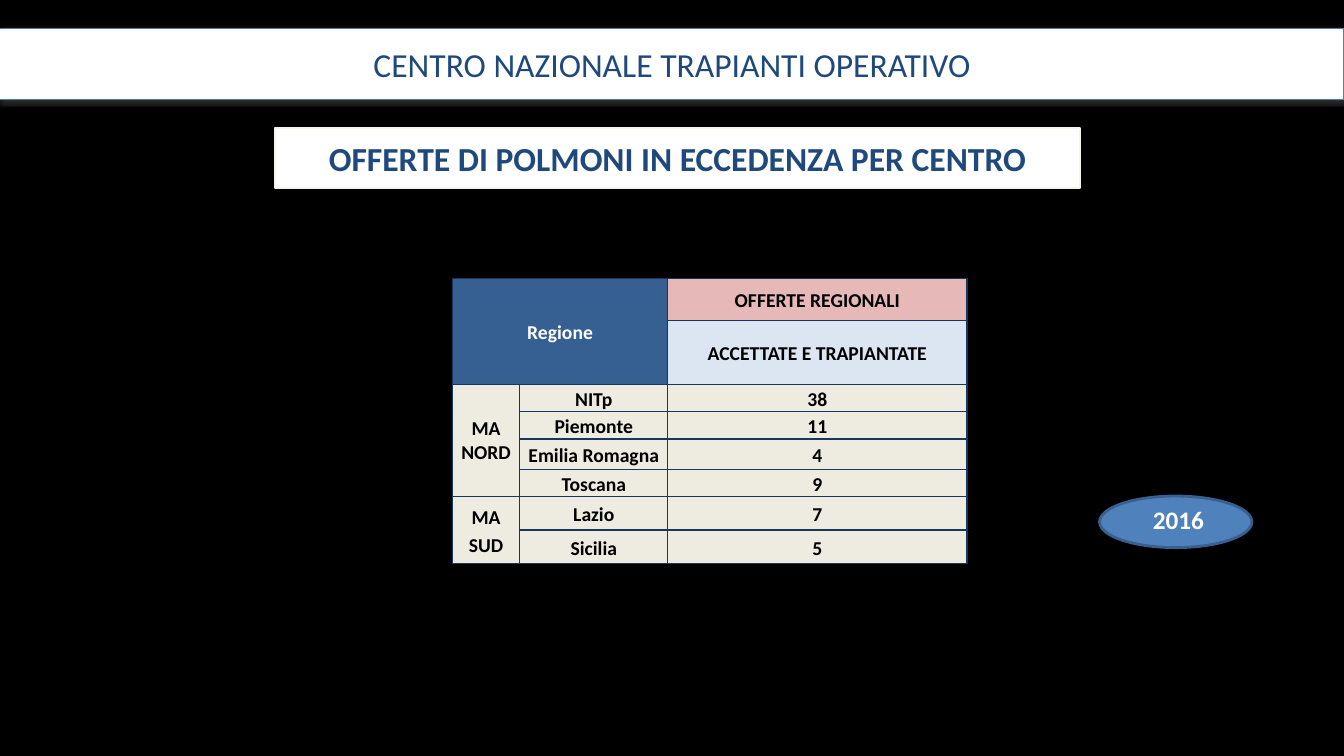
from lxml import etree
from pptx import Presentation
from pptx.dml.color import RGBColor
from pptx.enum.shapes import MSO_SHAPE
from pptx.enum.text import MSO_ANCHOR, MSO_AUTO_SIZE, PP_ALIGN
from pptx.oxml.ns import qn
from pptx.util import Cm, Pt

RECTANGLE, OVAL = MSO_SHAPE.RECTANGLE, MSO_SHAPE.OVAL
MIDDLE, CENTER = MSO_ANCHOR.MIDDLE, PP_ALIGN.CENTER
FIT_SHAPE = MSO_AUTO_SIZE.SHAPE_TO_FIT_TEXT

FONT = "Calibri"
WHITE, BLACK, NAVY, CREAM = "FFFFFF", "000000", "1F497D", "EEECE1"
BORDER = "17375E"

COLUMN_WIDTHS = [1.7, 3.73, 7.54]
ROW_HEIGHTS = [1.07, 1.6, 0.69, 0.69, 0.76, 0.69, 0.84, 0.84]
ROWS = [
    ["Regione", "", "OFFERTE REGIONALI"],
    ["", "", "ACCETTATE E TRAPIANTATE"],
    ["MA NORD", "NITp", "38"],
    ["", "Piemonte", "11"],
    ["", "Emilia Romagna", "4"],
    ["", "Toscana", "9"],
    ["MA SUD", "Lazio", "7"],
    ["", "Sicilia", "5"],
]
# First and last cell of each merged block
MERGES = [((0, 0), (1, 1)), ((2, 0), (5, 0)), ((6, 0), (7, 0))]
HEADER_FILLS = {(0, 0): "376092", (0, 1): "376092", (1, 0): "376092",
                (1, 1): "376092", (0, 2): "E6B9B8", (1, 2): "DCE6F2"}


def color(value):
    return RGBColor.from_string(value)


def paint(target, value):
    target.fill.solid()
    target.fill.fore_color.rgb = color(value)


def write(frame, text, size=14, ink=BLACK, bold=True, spacing=1.0):
    frame.vertical_anchor = MIDDLE
    para = frame.paragraphs[0]
    para.alignment = CENTER
    para.line_spacing = spacing
    span = para.add_run()
    span.text = text
    span.font.name = FONT
    span.font.size = Pt(size)
    span.font.bold = bold
    span.font.color.rgb = color(ink)


def add_box(shapes, kind, place, fill, line, width):
    box = shapes.add_shape(kind, *map(Cm, place))
    box.shadow.inherit = False
    paint(box, fill)
    box.line.color.rgb = color(line)
    box.line.width = Pt(width)
    return box


def add_shadow(box):
    effects = box._element.spPr.find(qn("a:effectLst"))
    shadow = etree.SubElement(
        effects, qn("a:outerShdw"), blurRad=str(Pt(3.1)), dist=str(Pt(1.8)),
        dir="5400000", rotWithShape="0")
    shade = etree.SubElement(shadow, qn("a:srgbClr"), val="808080")
    etree.SubElement(shade, qn("a:alpha"), val="35000")


def add_borders(cell):
    properties = cell._tc.get_or_add_tcPr()
    for index, side in enumerate(("a:lnL", "a:lnR", "a:lnT", "a:lnB")):
        line = etree.Element(qn(side), w=str(Pt(1)))
        fill = etree.SubElement(line, qn("a:solidFill"))
        etree.SubElement(fill, qn("a:srgbClr"), val=BORDER)
        properties.insert(index, line)


def add_region_table(page):
    frame = page.shapes.add_table(
        len(ROWS), len(COLUMN_WIDTHS), Cm(11.4), Cm(7.01),
        Cm(sum(COLUMN_WIDTHS)), Cm(sum(ROW_HEIGHTS)))
    table = frame.table
    table.first_row = table.horz_banding = False
    for column, width in zip(table.columns, COLUMN_WIDTHS):
        column.width = Cm(width)
    for row, height in zip(table.rows, ROW_HEIGHTS):
        row.height = Cm(height)
    for r, texts in enumerate(ROWS):
        for c, text in enumerate(texts):
            cell = table.cell(r, c)
            paint(cell, HEADER_FILLS.get((r, c), CREAM))
            add_borders(cell)
            cell.vertical_anchor = MIDDLE
            cell.margin_left = cell.margin_right = Cm(0.18)
            cell.margin_top = cell.margin_bottom = 0
            if text:
                write(cell.text_frame, text,
                      ink=WHITE if text == "Regione" else BLACK,
                      spacing=1.0 if text == "MA NORD" else 1.15)
    for first, last in MERGES:
        table.cell(*first).merge(table.cell(*last))


def add_year_badge(page, year):
    badge = page.shapes.add_group_shape()
    add_box(badge.shapes, OVAL, (27.71, 12.5, 3.84, 1.3), "4F81BD", "3A5F8C", 2)
    label = badge.shapes.add_textbox(Cm(28.8), Cm(12.57), Cm(1.8), Cm(1.02))
    label.text_frame.word_wrap = False
    label.text_frame.auto_size = FIT_SHAPE
    write(label.text_frame, year, size=18, ink=WHITE)


def main():
    deck = Presentation()
    deck.slide_width, deck.slide_height = Cm(33.87), Cm(19.05)
    page = deck.slides.add_slide(deck.slide_layouts[6])
    paint(page.background, BLACK)

    # Banner across the top
    banner = add_box(page.shapes, RECTANGLE, (0, 0.71, 33.87, 1.8),
                     WHITE, "4A7EBB", 0.75)
    add_shadow(banner)
    write(banner.text_frame, "CENTRO NAZIONALE TRAPIANTI OPERATIVO",
          size=24, ink=NAVY, bold=False)

    # Offers by region, and their year
    add_region_table(page)
    add_year_badge(page, "2016")

    # Slide title
    title = add_box(page.shapes, RECTANGLE, (6.93, 3.23, 20.29, 1.5),
                    WHITE, "F5F4ED", 1.5)
    write(title.text_frame, "OFFERTE DI POLMONI IN ECCEDENZA PER CENTRO",
          size=24, ink=NAVY)

    deck.save("out.pptx")


if __name__ == "__main__":
    main()
